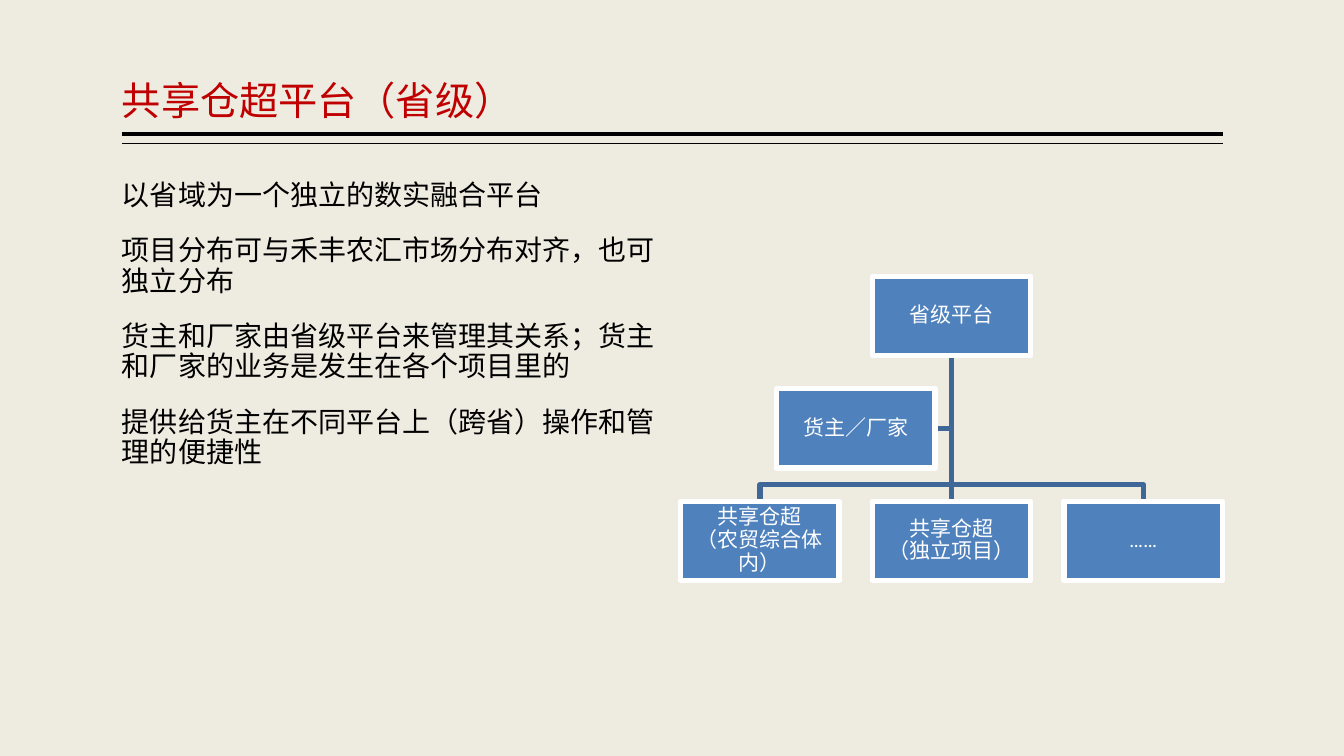
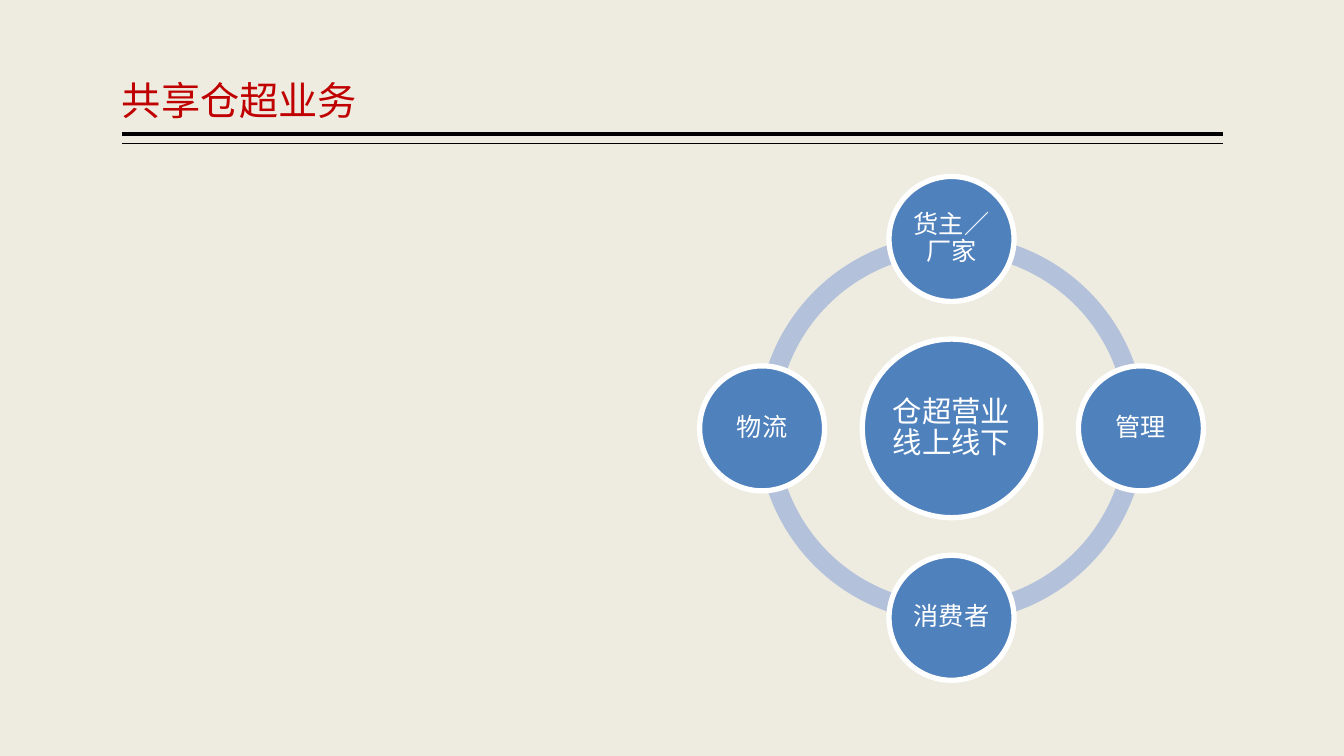
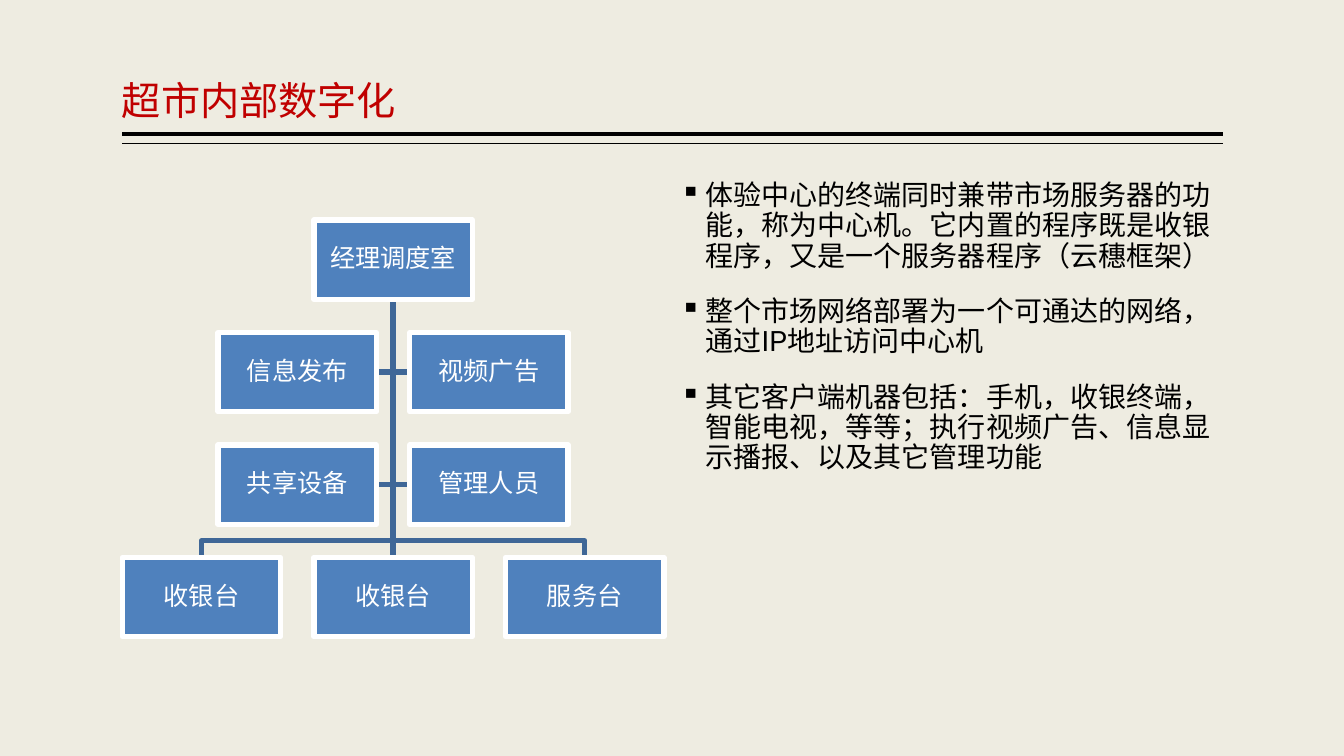
from lxml import etree
from pptx import Presentation, util as u
from pptx.dml.color import RGBColor
from pptx.enum import lang, shapes, text
from pptx.oxml import ns

BACKDROP, TITLE_RED, INK, WHITE = "EEECE1", "C00000", "000000", "FFFFFF"
NODE_BLUE, BRANCH_BLUE, RING_BLUE = "4F81BD", "3F6797", "B3C1DB"
LATIN, EAST_ASIAN, TITLE_FONT = "Roboto", "Lato", "Noto Sans CJK SC"
LEFT, RIGHT = 87.1, 873.4
BODY_TOP, BODY_WIDTH, BODY_HEIGHT = 126, 387.4, 360
BODY_RIGHT_COLUMN = RIGHT - BODY_WIDTH
MIDDLE = 306
OUTLINE = 3.78
NODE_WIDTH, NODE_HEIGHT = 113.2, 56.6
COLUMN_PITCH, ROW_PITCH = 136.9, 80.3


def color(hex_string):
    return RGBColor.from_string(hex_string)


class Deck:
    def __init__(self):
        self.presentation = Presentation()
        self.presentation.slide_width = u.Pt(960)
        self.presentation.slide_height = u.Pt(540)
        self.slide = None

    def new_slide(self, title, font=TITLE_FONT):
        self.slide = self.presentation.slides.add_slide(self.presentation.slide_layouts[6])
        backdrop = self.slide.background.fill
        backdrop.solid()
        backdrop.fore_color.rgb = color(BACKDROP)
        for y, weight in ((95.8, 3), (102.6, 1)):
            self.line((RIGHT, y), (LEFT, y), INK, weight)
        self.text_box((LEFT, 5.8, RIGHT - LEFT, 86.4), [title], 28, TITLE_RED, font,
                      anchor=text.MSO_ANCHOR.BOTTOM)

    def line(self, start, end, hue, weight):
        rule = self.slide.shapes.add_connector(
            shapes.MSO_CONNECTOR.STRAIGHT, *(u.Pt(v) for v in (*start, *end)))
        rule.line.color.rgb = color(hue)
        rule.line.width = u.Pt(weight)
        etree.SubElement(rule._element.spPr, ns.qn("a:effectLst"))

    def branch(self, *points):
        if len(points) == 2:
            self.line(*points, BRANCH_BLUE, OUTLINE)
            return
        start, *rest = [(u.Pt(x), u.Pt(y)) for x, y in points]
        builder = self.slide.shapes.build_freeform(*start)
        builder.add_line_segments(rest, close=False)
        route = builder.convert_to_shape()
        route.shadow.inherit = False
        route.fill.background()
        route.line.color.rgb = color(BRANCH_BLUE)
        route.line.width = u.Pt(OUTLINE)

    def add_words(self, paragraph, words, size, hue, font):
        paragraph.line_spacing = 0.9
        for index, part in enumerate(words.split("\n")):
            if index:
                paragraph.add_line_break()
            run = paragraph.add_run()
            run.text = part
            run.font.size = u.Pt(size)
            run.font.name = font
            run.font.color.rgb = color(hue)
            run.font.language_id = lang.MSO_LANGUAGE_ID.SIMPLIFIED_CHINESE
            latin = run._r.rPr.find(ns.qn("a:latin"))
            latin.addnext(etree.Element(ns.qn("a:ea"), typeface=EAST_ASIAN))

    def text_box(self, box, paragraphs, size, hue, font,
                 anchor=text.MSO_ANCHOR.TOP, before=0, bullet=None):
        frame = self.slide.shapes.add_textbox(*map(u.Pt, box)).text_frame
        frame.word_wrap = True
        frame.vertical_anchor = anchor
        frame.margin_left = frame.margin_right = 0
        frame.margin_top = frame.margin_bottom = u.Pt(3.6)
        for index, words in enumerate(paragraphs):
            paragraph = frame.add_paragraph() if index else frame.paragraphs[0]
            self.add_words(paragraph, words, size, hue, font)
            paragraph.space_before = u.Pt(before)
            if bullet:
                properties = paragraph._p.get_or_add_pPr()
                properties.set("marL", str(u.Pt(18)))
                properties.set("indent", str(u.Pt(-18)))
                etree.SubElement(properties, ns.qn("a:buChar"), char=bullet)

    def body(self, left, paragraphs, bullet=None):
        self.text_box((left, BODY_TOP, BODY_WIDTH, BODY_HEIGHT), paragraphs, 20, INK, LATIN,
                      before=18, bullet=bullet)

    def shape(self, kind, center, width, height, fill):
        x, y = center
        figure = self.slide.shapes.add_shape(
            kind, u.Pt(x - width / 2), u.Pt(y - height / 2), u.Pt(width), u.Pt(height))
        figure.shadow.inherit = False
        figure.fill.solid()
        figure.fill.fore_color.rgb = color(fill)
        return figure

    def node(self, kind, center, width, height, words, size, inset):
        figure = self.shape(kind, center, width, height, NODE_BLUE)
        figure.line.color.rgb = color(WHITE)
        figure.line.width = u.Pt(OUTLINE)
        frame = figure.text_frame
        frame.word_wrap = True
        frame.vertical_anchor = text.MSO_ANCHOR.MIDDLE
        frame.margin_left = frame.margin_right = u.Pt(inset)
        frame.margin_top = frame.margin_bottom = u.Pt(inset)
        paragraph = frame.paragraphs[0]
        paragraph.alignment = text.PP_ALIGN.CENTER
        self.add_words(paragraph, words, size, WHITE, LATIN)

    def organization(self, center, root, assistants, leaves, size):
        levels = len(assistants) + 2
        rows = [MIDDLE + (i - (levels - 1) / 2) * ROW_PITCH for i in range(levels)]
        root_bottom = rows[0] + NODE_HEIGHT / 2
        leaf_top = rows[-1] - NODE_HEIGHT / 2
        bus = leaf_top - (ROW_PITCH - NODE_HEIGHT) / 2
        boxes = [(center, rows[0], root)]
        for y, pair in zip(rows[1:], assistants):
            for side, words in zip((-1, 1), pair):
                x = center + side * COLUMN_PITCH / 2
                boxes.append((x, y, words))
                self.branch((center, root_bottom), (center, y), (x - side * NODE_WIDTH / 2, y))
        for i, words in enumerate(leaves):
            x = center + (i - (len(leaves) - 1) / 2) * COLUMN_PITCH
            boxes.append((x, rows[-1], words))
            bend = [] if x == center else [(center, bus), (x, bus)]
            self.branch((center, root_bottom), *bend, (x, leaf_top))
        for x, y, words in boxes:
            self.node(shapes.MSO_SHAPE.RECTANGLE, (x, y), NODE_WIDTH, NODE_HEIGHT,
                      words, size, 0.75)

    def cycle(self, center, hub, satellites):
        for start in (108, 54, 0, 162):
            arc = self.shape(shapes.MSO_SHAPE.BLOCK_ARC, (center, MIDDLE), 277.2, 277.2, RING_BLUE)
            arc.line.fill.background()
            for i, value in enumerate((start, (start + 54) % 216, 0.05)):
                arc.adjustments[i] = value
        oval = shapes.MSO_SHAPE.OVAL
        self.node(oval, (center, MIDDLE), 127.6, 127.6, hub, 21, 2)
        directions = ((0, -1), (1, 0), (0, 1), (-1, 0))
        for (dx, dy), words in zip(directions, satellites):
            spot = (center + dx * 135.3, MIDDLE + dy * 135.3)
            self.node(oval, spot, 89.3, 89.3, words, 18, 2)


def main():
    deck = Deck()
    left_center = LEFT + BODY_WIDTH / 2
    right_center = BODY_RIGHT_COLUMN + BODY_WIDTH / 2

    deck.new_slide("共享仓超平台（省级）")
    deck.organization(right_center, "省级平台", [["货主／厂家"]],
                      ["共享仓超\n（农贸综合体内）", "共享仓超\n（独立项目）", "……"], 15)
    deck.body(LEFT, [
        "以省域为一个独立的数实融合平台",
        "项目分布可与禾丰农汇市场分布对齐，也可独立分布",
        "货主和厂家由省级平台来管理其关系；货主和厂家的业务是发生在各个项目里的",
        "提供给货主在不同平台上（跨省）操作和管理的便捷性",
    ])

    deck.new_slide("共享仓超业务")
    deck.cycle(right_center, "仓超营业线上线下", ["货主／厂家", "管理", "消费者", "物流"])

    deck.new_slide("超市内部数字化", font="Lato")
    deck.organization(left_center, "经理调度室",
                      [["信息发布", "视频广告"], ["共享设备", "管理人员"]],
                      ["收银台", "收银台", "服务台"], 18)
    deck.body(BODY_RIGHT_COLUMN, [
        "体验中心的终端同时兼带市场服务器的功能，称为中心机。它内置的程序既是收银程序，又是一个服务器程序（云穗框架）",
        "整个市场网络部署为一个可通达的网络，通过IP地址访问中心机",
        "其它客户端机器包括：手机，收银终端，智能电视，等等；执行视频广告、信息显示播报、以及其它管理功能",
    ], bullet="▪")

    deck.presentation.save("out.pptx")


if __name__ == "__main__":
    main()
